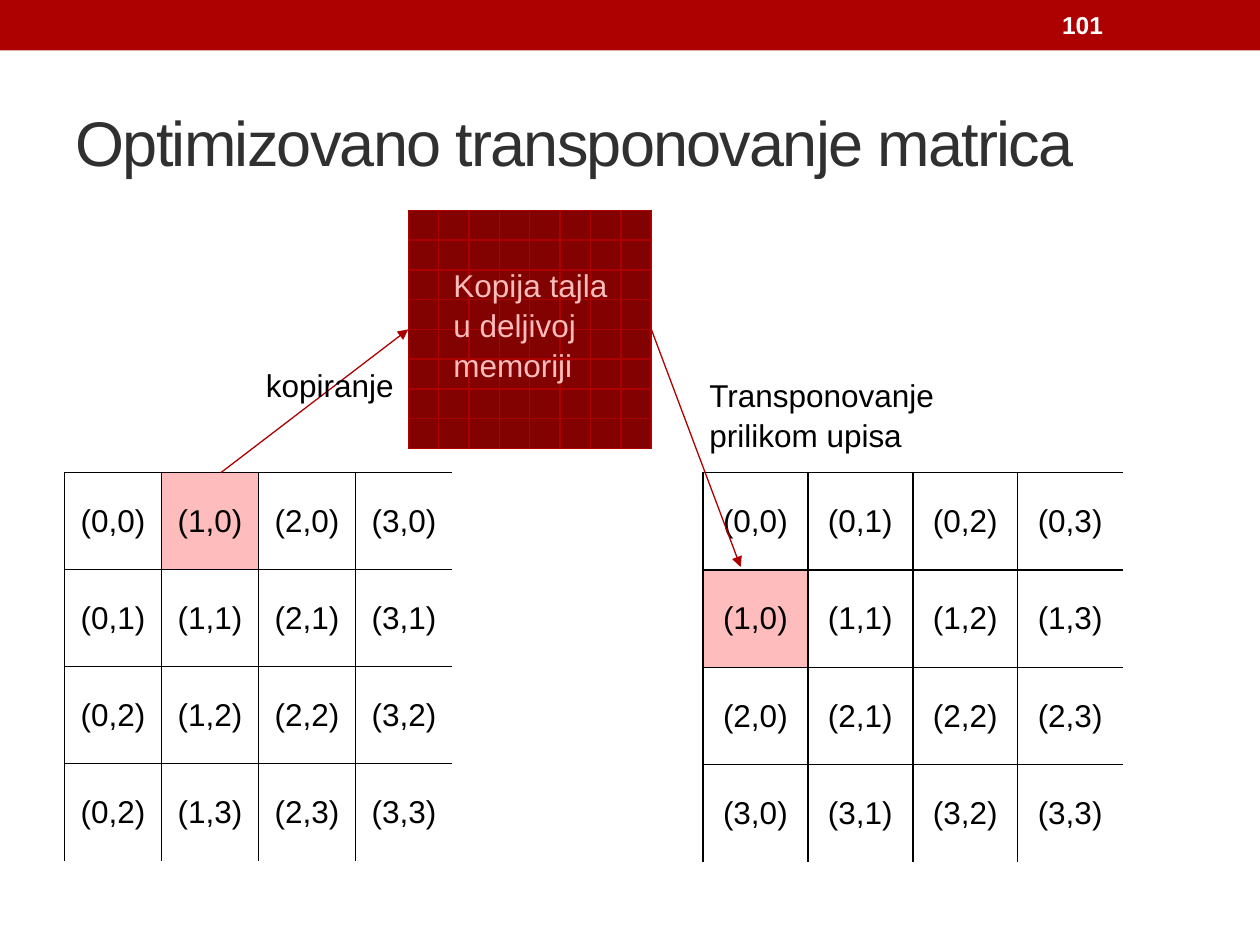
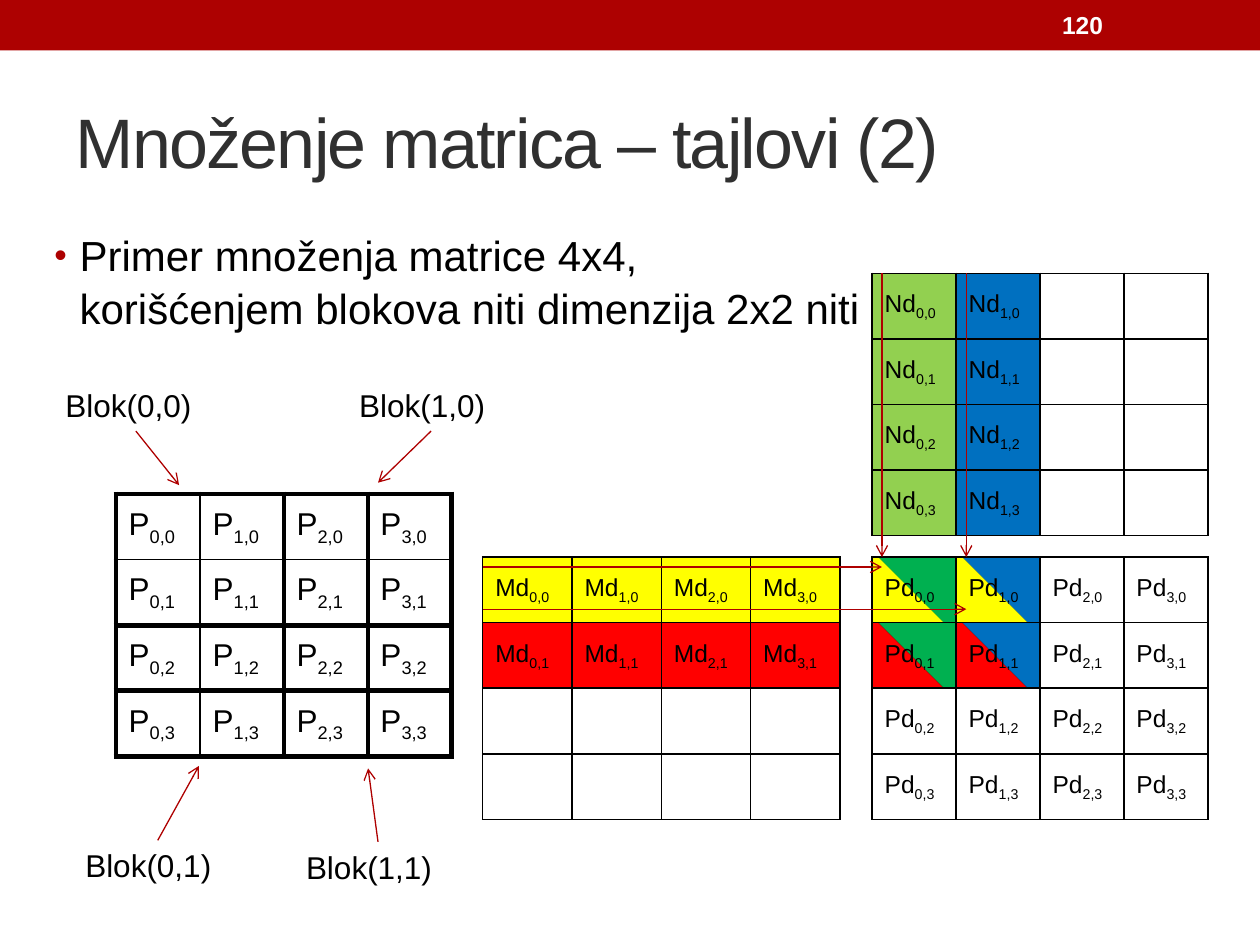
from collections import namedtuple

from lxml.etree import SubElement
from pptx import Presentation
from pptx.dml.color import RGBColor
from pptx.enum.shapes import MSO_CONNECTOR, MSO_SHAPE
from pptx.enum.text import MSO_ANCHOR, PP_ALIGN
from pptx.oxml.ns import qn
from pptx.util import Cm, Pt

BLACK = RGBColor(0, 0, 0)
WHITE = RGBColor(255, 255, 255)
GRAY = RGBColor(0x30, 0x30, 0x30)
RED = RGBColor(0xAD, 0x01, 0x01)
DARK = RGBColor(0x82, 0x01, 0x01)
ARROW = RGBColor(0xAE, 0, 0)
PINK = RGBColor(0xFF, 0xBC, 0xBC)
LIME = RGBColor(0x92, 0xD0, 0x50)
GREEN = RGBColor(0, 0xB0, 0x50)
BLUE = RGBColor(0, 0x70, 0xC0)
YELLOW = RGBColor(255, 255, 0)
BRIGHT = RGBColor(255, 0, 0)
FONT = "Arial"
COUNT = 4

Box = namedtuple("Box", "x y w h")


def write(frame, text, size=18, color=BLACK, bold=False, align=PP_ALIGN.LEFT,
          track=None, space=None):
    """Write lines as paragraphs; what follows a bar is set as subscript."""
    for i, line in enumerate(text.split("\n")):
        para = frame.paragraphs[0] if i == 0 else frame.add_paragraph()
        para.alignment = align
        if space:
            para.line_spacing = space
        for j, part in enumerate(line.split("|")):
            for k, piece in enumerate(part.split("\v")):
                if k:
                    para.add_line_break()
                run = para.add_run()
                run.text = piece
                font = run.font
                font.name, font.size, font.bold = FONT, Pt(size), bold
                font.color.rgb = color
                if track:
                    run._r.get_or_add_rPr().set("spc", str(track))
                if j:
                    run._r.get_or_add_rPr().set("baseline", "-25000")


def place(shape, box):
    """Move a shape to a box."""
    shape.left, shape.top, shape.width, shape.height = map(Cm, box)


def label(slide, text, box, wrap=True, anchor=MSO_ANCHOR.TOP, **style):
    """Add a text box."""
    frame = slide.shapes.add_textbox(*map(Cm, box)).text_frame
    frame.word_wrap = wrap
    frame.vertical_anchor = anchor
    write(frame, text, **style)


def arrow(slide, start, end, head="arrow"):
    """Add a thin red arrow between two points."""
    line = slide.shapes.add_connector(
        MSO_CONNECTOR.STRAIGHT, *map(Cm, (*start, *end)))
    line.line.color.rgb = ARROW
    line.line.width = Pt(0.75)
    SubElement(line.line._get_or_add_ln(), qn("a:tailEnd"), type=head)
    SubElement(line._element.spPr, qn("a:effectLst"))


def edge(cell, side, width, color):
    """Draw one border of a cell, or none when the width is zero."""
    line = SubElement(cell._tc.get_or_add_tcPr(), qn(f"a:ln{side}"),
                      w=str(Pt(width)))
    if width:
        fill = SubElement(line, qn("a:solidFill"))
        SubElement(fill, qn("a:srgbClr"), val=str(color))
    else:
        SubElement(line, qn("a:noFill"))


def paint(cell, fill):
    """Fill a cell with a colour, a pair split on the diagonal, or nothing."""
    if fill is None:
        cell.fill.background()
    elif isinstance(fill, list):
        cell.fill.gradient()
        cell.fill.gradient_angle = 45
        for stop, color, spot in zip(cell.fill.gradient_stops, fill, (0.48, 0.49)):
            stop.color.rgb = color
            stop.position = spot
    else:
        cell.fill.solid()
        cell.fill.fore_color.rgb = fill


def matrix(slide, box, texts, fills, weight=lambda i: 1, line=BLACK, **style):
    """Add a square table; weight gives the width of each grid line."""
    size = len(texts)
    grid = slide.shapes.add_table(size, size, *map(Cm, box)).table
    grid.first_row = grid.horz_banding = False
    for i in range(size):
        grid.columns[i].width = Cm(box.w / size)
        grid.rows[i].height = Cm(box.h / size)
    for r, row in enumerate(texts):
        for c, text in enumerate(row):
            cell = grid.cell(r, c)
            cell.vertical_anchor = MSO_ANCHOR.MIDDLE
            for side, i in zip("LRTB", (c, c + 1, r, r + 1)):
                edge(cell, side, weight(i), line)
            paint(cell, fills.get((r, c), fills.get("all")))
            if text:
                write(cell.text_frame, text, **style)
            else:
                SubElement(cell.text_frame.paragraphs[0]._p,
                           qn("a:endParaRPr"), sz="600")


def names(form, rows=COUNT, cols=COUNT):
    """Fill a form for each row and column, leaving the rest blank."""
    return [[form.format(r=r, c=c) if r < rows and c < cols else ""
             for c in range(COUNT)] for r in range(COUNT)]


def band(deck, slide):
    """Put the top band on the master, so that each slide shows it."""
    bar = slide.shapes.add_shape(MSO_SHAPE.RECTANGLE, 0, 0,
                                 deck.slide_width, Cm(1.02))
    bar.shadow.inherit = False
    bar.fill.solid()
    bar.fill.fore_color.rgb = RED
    bar.line.fill.background()
    deck.slide_master.shapes._spTree.insert(2, bar._element)


def start(deck, layout, title, number, size):
    """Add a slide with its title and number."""
    slide = deck.slides.add_slide(deck.slide_layouts[layout])
    head = slide.shapes.title
    place(head, Box(1.27, 1.47, 22.86, 2.74))
    head.text_frame.vertical_anchor = MSO_ANCHOR.MIDDLE
    write(head.text_frame, title, size=size, color=GRAY, track=-100)
    label(slide, number, Box(21.16, 0.05, 2.97, 0.91), anchor=MSO_ANCHOR.MIDDLE,
          size=14, color=WHITE, bold=True)
    return slide


def bullet(shape, text, box):
    """Fill the body with one bulleted paragraph."""
    place(shape, box)
    props = shape.text_frame.paragraphs[0]._p.get_or_add_pPr()
    props.set("marL", str(Cm(0.51)))
    props.set("indent", str(Cm(-0.51)))
    tint = SubElement(props, qn("a:buClr"))
    SubElement(tint, qn("a:srgbClr"), val=str(RED))
    SubElement(props, qn("a:buSzPct"), val="85000")
    SubElement(props, qn("a:buFont"), typeface=FONT)
    SubElement(props, qn("a:buChar"), char="•")
    shape.text_frame.paragraphs[0].space_before = Pt(0)
    write(shape.text_frame, text, size=24, space=1.05)


def flip(slide, source, tile, target):
    """Show a tile copied from one matrix and written flipped to another."""
    texts = names("({c},{r})")
    texts[3][0] = "(0,2)"
    style = dict(weight=lambda i: int(i < COUNT), align=PP_ALIGN.CENTER)
    matrix(slide, source, texts, {(0, 1): PINK}, **style)
    matrix(slide, target, names("({r},{c})"), {(1, 0): PINK}, **style)
    matrix(slide, tile, [[""] * 8] * 8, {"all": DARK}, line=RED)
    mid = tile.y + 2.4
    arrow(slide, (source.x + 3.15, source.y), (tile.x, mid), "triangle")
    label(slide, "kopiranje", Box(tile.x - 3.12, tile.y + 3.02, 3.12, 1.02),
          wrap=False)
    label(slide, "Transponovanje\nprilikom upisa",
          Box(target.x - 0.12, target.y - 2.11, 5.26, 1.8),
          wrap=False, space=1.05)
    arrow(slide, (tile.x + tile.w, mid), (target.x + 0.76, target.y + 1.9),
          "triangle")
    label(slide, "Kopija tajla\nu deljivoj\nmemoriji",
          Box(tile.x + 0.66, tile.y + 0.97, 3.66, 2.57),
          wrap=False, color=PINK, space=1.05)


def blocks(slide, box):
    """Show the result matrix split into blocks with their labels."""
    matrix(slide, box, names("P|{c},{r}"), {"all": WHITE},
           weight=lambda i: 1 if i == 1 else 3)
    marks = (
        ("Blok(0,0)", (-1.27, -2.31), (0.4, -1.27), (1.27, -0.18)),
        ("Blok(1,0)", (4.65, -2.31), (6.35, -1.27), (5.28, -0.23)),
        ("Blok(0,1)", (-0.87, 6.98), (0.84, 6.98), (1.67, 5.48)),
        ("Blok(1,1)", (3.58, 7.01), (5.28, 7.01), (5.08, 5.53)),
    )
    for text, *spots in marks:
        spot, tail, tip = [(box.x + x, box.y + y) for x, y in spots]
        label(slide, text, Box(*spot, 3.38, 1.02))
        arrow(slide, tail, tip)


def product(slide, left, upper, result):
    """Show two factors, their product and the paths of the threads."""
    halves = (YELLOW, BRIGHT)
    sides = (GREEN, BLUE)
    tall = {(r, c): color for r in range(COUNT)
            for c, color in enumerate((LIME, BLUE))}
    wide = {(r, c): color for r, color in enumerate(halves)
            for c in range(COUNT)}
    split = {(r, c): [low, high] for r, low in enumerate(halves)
             for c, high in enumerate(sides)}
    parts = (
        (upper, names("Nd|{c},{r}", cols=2), tall),
        (left, names("Md|{c},{r}", rows=2), wide),
        (result, names("Pd|{c},{r}"), split),
    )
    for box, texts, fills in parts:
        matrix(slide, box, texts, {"all": WHITE, **fills}, size=14)
    for across, down in ((0.2, 0.2), (1.9, 1.05)):
        x, y = result.x + across, result.y + down
        arrow(slide, (left.x, y), (x, y))
        arrow(slide, (x, upper.y), (x, result.y))


def main():
    """Build and save both slides."""
    deck = Presentation()
    deck.slide_width, deck.slide_height = Cm(25.4), Cm(19.05)

    slide = start(deck, 5, "Optimizovano transponovanje matrica", "101", 36)
    band(deck, slide)
    flip(slide, Box(1.3, 9.53, 7.82, 7.82), Box(8.23, 4.24, 4.9, 4.8),
         Box(14.17, 9.53, 8.46, 7.85))

    slide = start(deck, 1, "Množenje matrica – tajlovi (2)", "120", 40)
    bullet(slide.placeholders[1], "Primer množenja matrice 4x4,\v"
           "korišćenjem blokova niti dimenzija 2x2 niti",
           Box(0.84, 4.45, 23.29, 13.54))
    blocks(slide, Box(2.34, 9.96, 6.77, 5.29))
    product(slide, Box(9.73, 11.23, 7.2, 5.29), Box(17.58, 5.51, 6.77, 5.29),
            Box(17.58, 11.23, 6.77, 5.29))

    deck.save("out.pptx")


if __name__ == "__main__":
    main()
